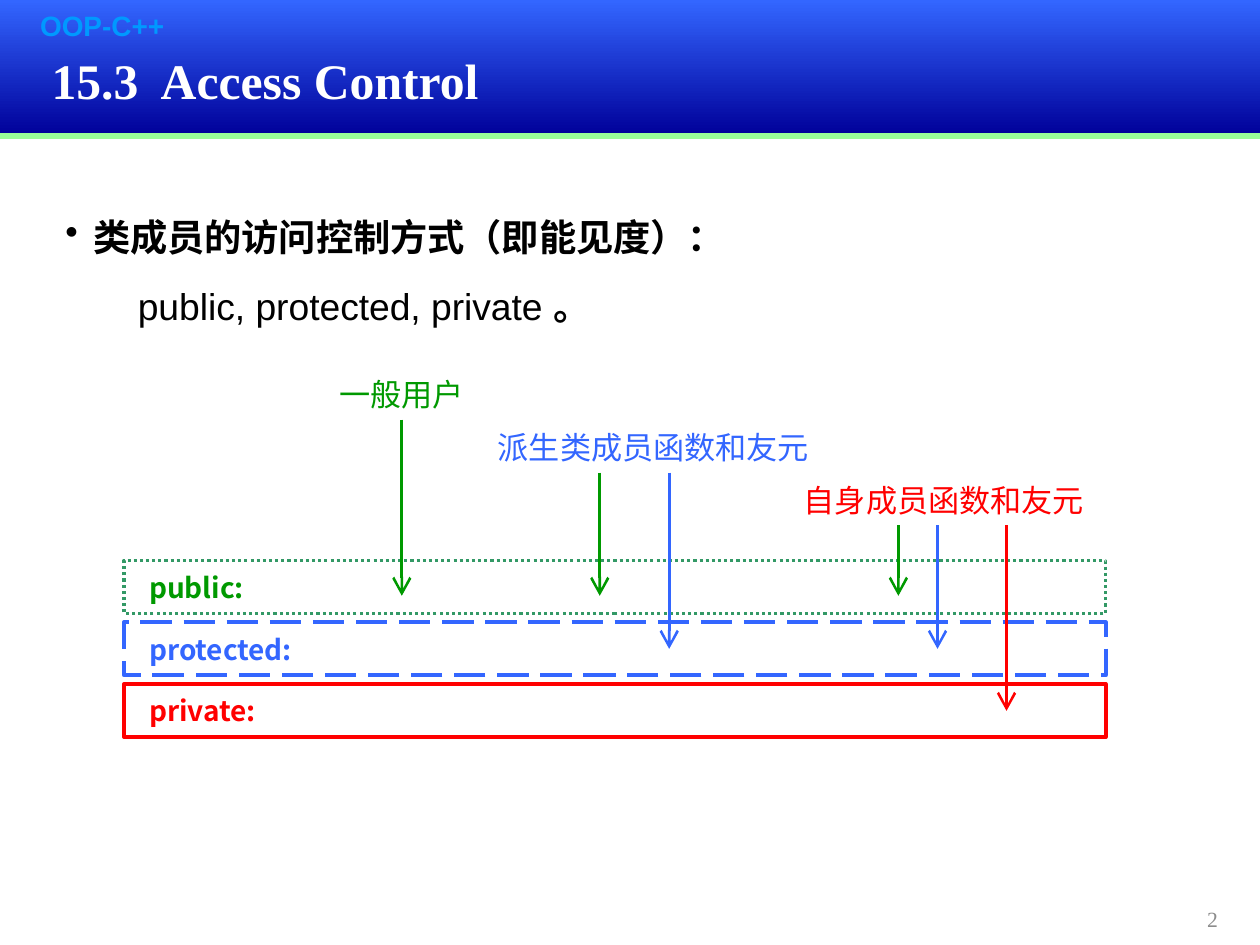
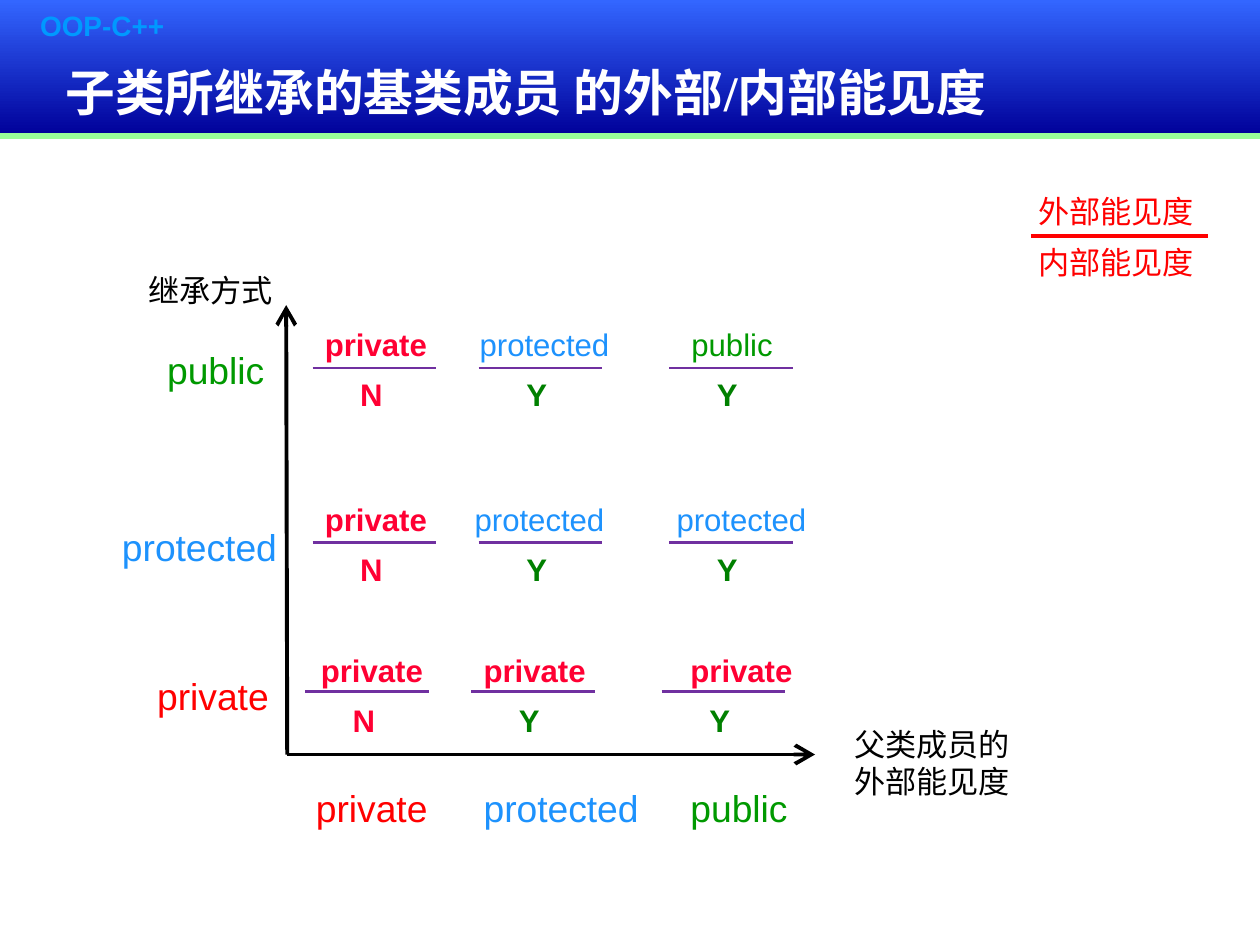
"""Builds two slides on access control of class members in C++."""
from lxml.etree import SubElement
from pptx import Presentation
from pptx.dml.color import RGBColor
from pptx.enum.dml import MSO_LINE as Dash
from pptx.enum.shapes import MSO_CONNECTOR as Connector, MSO_SHAPE as Shape
from pptx.enum.text import MSO_ANCHOR as Anchor, PP_ALIGN as Align
from pptx.oxml.ns import qn
from pptx.util import Cm, Pt

WHITE = RGBColor(0xFF, 0xFF, 0xFF)
BLACK = RGBColor(0, 0, 0)
GRAY = RGBColor(0x8C, 0x8C, 0x8C)
BAND_TOP = RGBColor(0x33, 0x66, 0xFF)
BAND_BOTTOM = RGBColor(0x00, 0x00, 0x99)
BAND_EDGE = RGBColor(0x99, 0xFF, 0x99)
COURSE_BLUE = RGBColor(0x00, 0x99, 0xFF)
GREEN = RGBColor(0x00, 0x99, 0x00)
SEA_GREEN = RGBColor(0x33, 0x99, 0x66)
BLUE = BAND_TOP
RED = RGBColor(0xFF, 0, 0)
SKY = RGBColor(0x1D, 0x92, 0xFD)
CRIMSON = RGBColor(0xFF, 0x00, 0x33)
DARK_GREEN = RGBColor(0x00, 0x80, 0x00)
PURPLE = RGBColor(0x70, 0x30, 0xA0)

SERIF, SANS, CJK = "Times New Roman", "Arial", "Noto Sans CJK SC"
TITLE_SIZE, BODY_SIZE, LABEL_SIZE = 28.4, 21.3, 17.8

COURSE = "OOP-C++"
ACCESS_TITLE = "15.3  Access Control"
ACCESS_HEADING = "类成员的访问控制方式（即能见度）："
ACCESS_WORDS = "public, protected, private "
FULL_STOP = "。"
PAGE_NUMBER = "2"

# name: (text colour, outline colour, outline width, dash, arrow end)
LAYERS = {
    "public": (GREEN, SEA_GREEN, 1.75, Dash.ROUND_DOT, 12.01),
    "protected": (BLUE, BLUE, 2.25, Dash.LONG_DASH, 13.08),
    "private": (RED, RED, 2.25, None, 14.33),
}
# label, colour, left, width, arrow position for each layer reached
AUDIENCES = [
    ("一般用户", GREEN, 6.83, 2.54, {"public": 8.1}),
    ("派生类成员函数和友元", BLUE, 10.01, 6.32, {"public": 12.09, "protected": 13.49}),
    ("自身成员函数和友元", RED, 16.18, 5.69,
     {"public": 18.11, "protected": 18.9, "private": 20.29}),
]

INHERIT_TITLE = "子类所继承的基类成员 的外部/内部能见度"
INHERIT_AXIS, PARENT_AXIS = "继承方式", "父类成员的外部能见度"
LEGEND = ["外部能见度", "内部能见度"]
# name: (axis colour, axis label width, cell colour, cell width)
LEVELS = {
    "private": (RED, 2.79, CRIMSON, 2.59),
    "protected": (SKY, 3.68, SKY, 3.15),
    "public": (GREEN, 2.49, GREEN, 2.16),
}
PARENT_LEVELS = {"private": 6.12, "protected": 9.5, "public": 13.67}
INHERIT_LEVELS = {"public": (3.12, 6.86), "protected": (2.21, 10.44), "private": (2.92, 13.44)}
INSIDE = [("N", CRIMSON), ("Y", DARK_GREEN), ("Y", DARK_GREEN)]
RULE_LEFTS = [6.3, 9.65, 13.49]
# cell top, rule height, row shift, (outside visibility, left) for each column
GRID = [
    (6.43, 7.42, 0, [("private", 6.3), ("protected", 9.42), ("public", 13.69)]),
    (9.96, 10.93, 0, [("private", 6.3), ("protected", 9.32), ("protected", 13.39)]),
    (13.0, 13.94, -0.15, [("private", 6.22), ("private", 9.5), ("private", 13.67)]),
]


def style(paragraph, size, color, font, bold=False, align=Align.LEFT, spacing=None, before=0):
    paragraph.alignment = align
    paragraph.space_before = Pt(before)
    if spacing:
        paragraph.line_spacing = spacing
    face = paragraph.font
    face.size, face.bold, face.name = Pt(size), bold, font
    face.color.rgb = color
    defaults = paragraph._p.pPr.find(qn("a:defRPr"))
    SubElement(defaults, qn("a:ea")).set("typeface", CJK)


def add_text(slide, at, lines, size, color, font=SANS, anchor=Anchor.MIDDLE,
             wrap=False, inset=True, fill=None, **looks):
    box = slide.shapes.add_textbox(*map(Cm, at))
    if fill:
        box.fill.solid()
        box.fill.fore_color.rgb = fill
    frame = box.text_frame
    frame.word_wrap, frame.vertical_anchor = wrap, anchor
    if not inset:
        frame.margin_left = frame.margin_right = frame.margin_top = frame.margin_bottom = 0
    frame.text = lines
    for paragraph in frame.paragraphs:
        style(paragraph, size, color, font, **looks)
    return frame


def add_line(slide, start, end, color, width, arrow=False):
    line = slide.shapes.add_connector(Connector.STRAIGHT, *map(Cm, start + end))
    line.line.color.rgb, line.line.width = color, Pt(width)
    properties = line._element.spPr
    if arrow:
        SubElement(properties.find(qn("a:ln")), qn("a:tailEnd"),
                   {"type": "arrow", "w": "lg", "len": "lg"})
    SubElement(properties, qn("a:effectLst"))


def add_rect(slide, at):
    rect = slide.shapes.add_shape(Shape.RECTANGLE, *map(Cm, at))
    rect.shadow.inherit = False
    return rect


def add_titled_slide(deck, title, at):
    slide = deck.slides.add_slide(deck.slide_layouts[6])
    band = add_rect(slide, (0, 0, 25.4, 2.74))
    band.line.fill.background()
    band.fill.gradient()
    band.fill.gradient_angle = 270
    for stop, color in zip(band.fill.gradient_stops, (BAND_TOP, BAND_BOTTOM)):
        stop.color.rgb = color
    add_text(slide, (0.56, 0.05, 5.84, 0.94), COURSE, 16, COURSE_BLUE, bold=True)
    add_line(slide, (0, 2.74), (25.4, 2.74), BAND_EDGE, 3)
    add_text(slide, at, title, TITLE_SIZE, WHITE, SERIF, wrap=True, bold=True, spacing=0.9)
    return slide


def add_access_body(slide):
    frame = add_text(slide, (1.07, 4.01, 23.29, 3.02), ACCESS_HEADING, BODY_SIZE, BLACK, SERIF,
                     Anchor.TOP, wrap=True, bold=True, spacing=1.2, before=8.9)
    heading = frame.paragraphs[0]._p.pPr
    heading.set("marL", str(Cm(0.56)))
    heading.set("indent", str(-Cm(0.56)))
    bullet = heading.makeelement(qn("a:buChar"), {"char": "•"})
    heading.find(qn("a:defRPr")).addprevious(bullet)

    words = frame.add_paragraph()
    style(words, BODY_SIZE, BLACK, SERIF, bold=True, spacing=1.2, before=8.9)
    words._p.pPr.set("marL", str(Cm(1.46)))
    keywords = words.add_run()
    keywords.text = ACCESS_WORDS
    keywords.font.name, keywords.font.bold = SANS, False
    words.add_run().text = FULL_STOP


def build_access(deck):
    slide = add_titled_slide(deck, ACCESS_TITLE, (0.79, 0.71, 22.43, 1.96))
    add_text(slide, (19.08, 18.01, 5.72, 1.02), PAGE_NUMBER, 12.4, GRAY, SERIF,
             wrap=True, align=Align.RIGHT)
    add_access_body(slide)

    for row, (name, (color, outline, width, dash, _)) in enumerate(LAYERS.items()):
        layer = add_rect(slide, (2.5, 11.3 + 1.245 * row, 19.79, 1.07))
        layer.fill.background()
        layer.line.color.rgb, layer.line.width = outline, Pt(width)
        if dash:
            layer.line.dash_style = dash
        frame = layer.text_frame
        frame.word_wrap, frame.vertical_anchor = True, Anchor.MIDDLE
        frame.margin_left = Cm(0.51)
        frame.text = f"{name}:"
        style(frame.paragraphs[0], 16, color, CJK, bold=True)

    for row, (label, color, left, width, reach) in enumerate(AUDIENCES):
        top = 7.57 + 1.065 * row
        add_text(slide, (left, top, width, 0.76), label, LABEL_SIZE, color, CJK,
                 inset=False, align=Align.CENTER)
        for name, x in reach.items():
            layer_color, *_, end = LAYERS[name]
            add_line(slide, (x, top + 0.89), (x, end), layer_color, 1.5, arrow=True)


def build_inheritance(deck):
    slide = add_titled_slide(deck, INHERIT_TITLE, (1.07, 1.07, 23.29, 1.7))

    places = list(INHERIT_LEVELS.items())
    places += [(name, (left, 15.7)) for name, left in PARENT_LEVELS.items()]
    for name, (left, top) in places:
        color, width, *_ = LEVELS[name]
        add_text(slide, (left, top, width, 1.17), name, BODY_SIZE, color)

    origin = (5.79, 15.21)
    for tip in ((5.77, 6.15), (16.43, 15.21)):
        add_line(slide, origin, tip, BLACK, 2.25, arrow=True)
    add_text(slide, (16.97, 14.5, 3.73, 1.78), PARENT_AXIS, LABEL_SIZE, BLACK, SERIF,
             Anchor.TOP, wrap=True)
    add_text(slide, (2.74, 5.33, 3.05, 1.02), INHERIT_AXIS, LABEL_SIZE, BLACK, SERIF)

    add_text(slide, (20.66, 3.61, 3.68, 2.24), "\n".join(LEGEND), LABEL_SIZE, RED, CJK,
             Anchor.TOP, align=Align.CENTER, spacing=1.2, before=3.6)
    add_line(slide, (20.78, 4.75), (24.36, 4.75), RED, 2.25)

    for top, rule_y, shift, outside in GRID:
        for (name, left), rule_left, (mark, mark_color) in zip(outside, RULE_LEFTS, INSIDE):
            *_, color, width = LEVELS[name]
            x = rule_left + shift
            add_text(slide, (left, top, width, 1.02), name, LABEL_SIZE, color,
                     fill=WHITE, bold=name == "private")
            add_line(slide, (x, rule_y), (x + 2.49, rule_y), PURPLE, 1.5)
            add_text(slide, (x + 0.71, top + 1.01, 0.95, 1.02), mark, LABEL_SIZE, mark_color,
                     fill=WHITE, bold=True)


def main():
    deck = Presentation()
    deck.slide_width, deck.slide_height = Cm(25.4), Cm(19.05)
    build_access(deck)
    build_inheritance(deck)
    deck.save("out.pptx")


if __name__ == "__main__":
    main()
